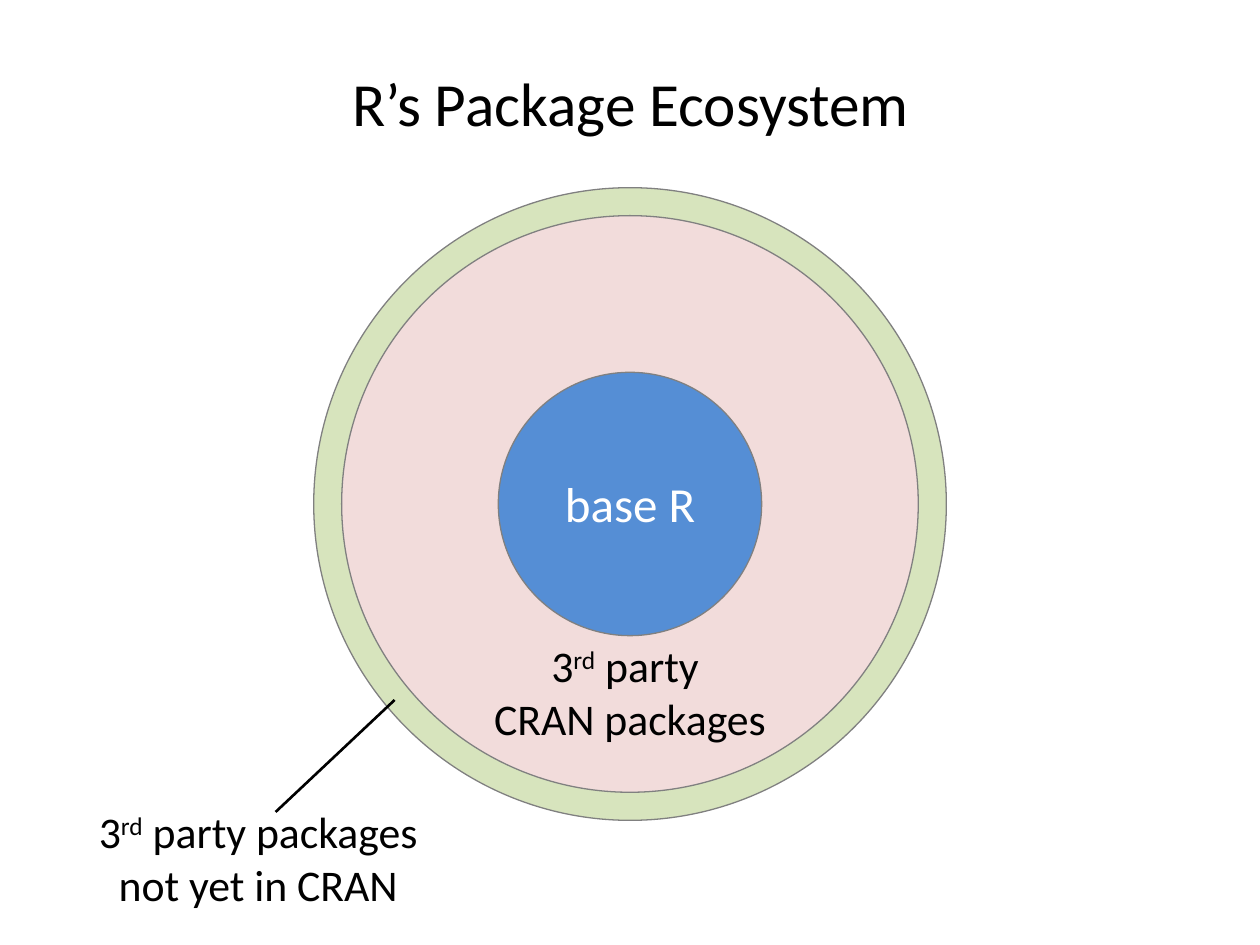
import pptx
import pptx.util
import pptx.dml.color
import pptx.enum.shapes
import pptx.enum.text
import pptx.oxml.ns
import lxml.etree

Pt = pptx.util.Pt
MID = (360, 288)


def tint(code):
    return pptx.dml.color.RGBColor.from_string(code)


def disc(slide, size, fill):
    """Draw a circle around the shared centre."""
    left, top = (c - size / 2 for c in MID)
    oval = slide.shapes.add_shape(
        pptx.enum.shapes.MSO_SHAPE.OVAL, Pt(left), Pt(top), Pt(size), Pt(size))
    oval.shadow.inherit = False
    oval.fill.solid()
    oval.fill.fore_color.rgb = tint(fill)
    oval.line.color.rgb = tint("808080")
    oval.line.width = Pt(0.75)


def text(slide, words, box, size=25, color="000000", wrap=True):
    """Write centred lines; parts between ^ marks are superscript."""
    frame = slide.shapes.add_textbox(*map(Pt, box)).text_frame
    frame.word_wrap = wrap
    frame.auto_size = pptx.enum.text.MSO_AUTO_SIZE.SHAPE_TO_FIT_TEXT
    for row, line in enumerate(words.split("\n")):
        para = frame.add_paragraph() if row else frame.paragraphs[0]
        para.alignment = pptx.enum.text.PP_ALIGN.CENTER
        for part, piece in enumerate(line.split("^")):
            run = para.add_run()
            run.text = piece
            run.font.name = "Calibri"
            run.font.size = Pt(size)
            run.font.color.rgb = tint(color)
            if part % 2:
                run._r.get_or_add_rPr().set("baseline", "30000")


def rule(slide, start, end):
    """Draw a plain black line."""
    line = slide.shapes.add_connector(
        pptx.enum.shapes.MSO_CONNECTOR.STRAIGHT, *map(Pt, start + end))
    line.line.color.rgb = tint("000000")
    line.line.width = Pt(1.5)
    lxml.etree.SubElement(
        line._element.spPr, pptx.oxml.ns.qn("a:effectLst"))


def main():
    deck = pptx.Presentation()
    deck.slide_width, deck.slide_height = Pt(720), Pt(540)
    slide = deck.slides.add_slide(deck.slide_layouts[6])

    # Rings, from the outside in
    for size, fill in ((361.5, "D7E4BD"), (329.5, "F2DCDB"), (150.5, "558ED5")):
        disc(slide, size, fill)

    # Ring labels
    text(slide, "base R", (315, 267, 90, 41), size=28, color="FFFFFF", wrap=False)
    text(slide, "3^rd^ party \nCRAN packages", (274, 361.5, 172, 67.5), wrap=False)
    text(slide, "3^rd^ party packages not yet in CRAN", (39, 456.5, 217, 67.5))
    rule(slide, (157.5, 464), (225.5, 400))

    # Title
    text(slide, "R’s Package Ecosystem", (51.5, 34, 618, 50), size=35)

    deck.save("out.pptx")


main()
